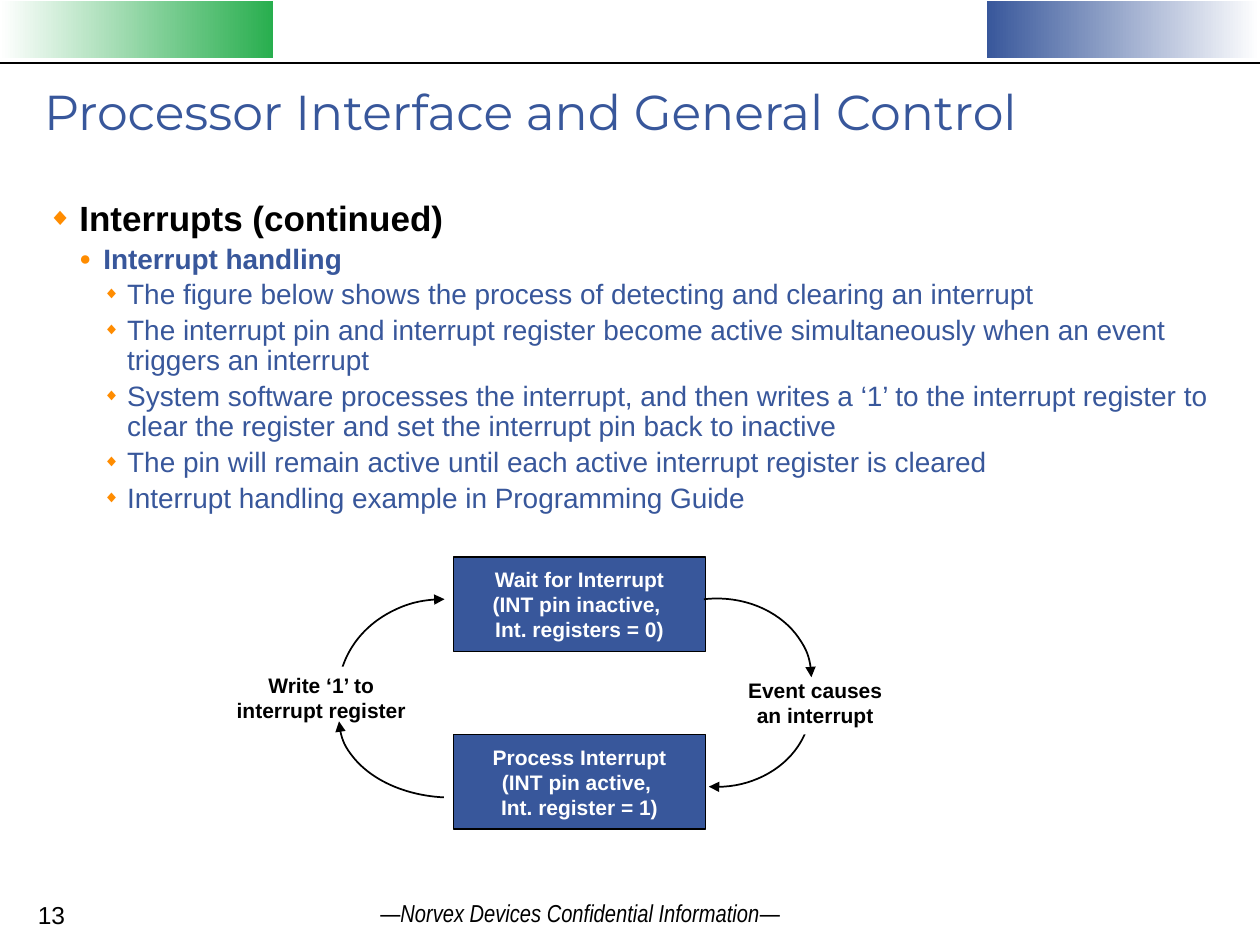
from dataclasses import dataclass
from typing import Any, NamedTuple

from lxml import etree
from pptx import Presentation
from pptx import util as u
from pptx.dml import color
from pptx.enum import shapes, text
from pptx.oxml import ns

EMU_PER_PX = 9144


@dataclass(frozen=True)
class Theme:
    black: str = "000000"
    white: str = "FFFFFF"
    blue: str = "38579B"
    green: str = "28AE4E"
    orange: str = "FF8C00"
    body_font: str = "Arial"
    title_font: str = "Montserrat"
    footer_font: str = "Arial Narrow"
    title_size: int = 28
    heading_size: int = 20
    text_size: int = 16
    footer_size: int = 14
    label_size: int = 12


THEME = Theme()


class Frame(NamedTuple):
    left: int
    top: int
    width: int
    height: int

    def emu(self) -> list[int]:
        return [px(side) for side in self]


@dataclass(frozen=True)
class Style:
    size: int
    colour: str = THEME.black
    font: str = THEME.body_font
    bold: bool = False


@dataclass(frozen=True)
class Level:
    style: Style
    bullet: str
    bullet_percent: int
    margin: int
    hanging: int


@dataclass(frozen=True)
class Band:
    frame: Frame
    start: str
    end: str


@dataclass(frozen=True)
class Block:
    frame: Frame
    lines: tuple[str, ...]
    fill: str
    colour: str
    outlined: bool


@dataclass(frozen=True)
class Arc:
    frame: Frame
    start: float
    end: float
    rotation: int = 0
    flipped: bool = False


def px(length: int) -> u.Emu:
    return u.Emu(length * EMU_PER_PX)


def rgb(value: str) -> color.RGBColor:
    return color.RGBColor.from_string(value)


def assign(target: Any, values: dict[str, Any]) -> None:
    for name, value in values.items():
        setattr(target, name, value)


def add_child(parent: Any, tag: str, **attributes: str) -> Any:
    return etree.SubElement(parent, ns.qn(tag), attributes)


def add_span(para: Any, wording: str, style: Style, italic: bool = False) -> None:
    span = para.add_run()
    span.text = wording
    assign(span.font, {"size": u.Pt(style.size), "name": style.font,
                       "bold": style.bold, "italic": italic})
    span.font.color.rgb = rgb(style.colour)


def next_para(frame: Any, index: int) -> Any:
    return frame.add_paragraph() if index else frame.paragraphs[0]


def add_text_box(page: Any, frame: Frame, insets: tuple[int, int, int, int],
                 anchor: Any = text.MSO_ANCHOR.TOP) -> Any:
    body = page.shapes.add_textbox(*frame.emu()).text_frame
    sides = ("margin_left", "margin_top", "margin_right", "margin_bottom")
    assign(body, {"word_wrap": True, "vertical_anchor": anchor,
                  **dict(zip(sides, map(px, insets)))})
    return body


def add_shape(page: Any, kind: Any, frame: Frame, outlined: bool) -> Any:
    shape = page.shapes.add_shape(kind, *frame.emu())
    shape.shadow.inherit = False
    if outlined:
        shape.line.color.rgb = rgb(THEME.black)
        shape.line.width = u.Pt(1)
    else:
        shape.line.fill.background()
    return shape


def draw_band(page: Any, band: Band) -> None:
    fill = add_shape(page, shapes.MSO_SHAPE.RECTANGLE, band.frame, False).fill
    fill.gradient()
    fill.gradient_angle = 0
    for stop, colour in zip(fill.gradient_stops, (band.start, band.end)):
        stop.color.rgb = rgb(colour)


def draw_rule(page: Any, y: int, width: int) -> None:
    rule = page.shapes.add_connector(shapes.MSO_CONNECTOR.STRAIGHT, 0, px(y), px(width), px(y))
    rule.line.color.rgb = rgb(THEME.black)
    rule.line.width = u.Pt(0.75)
    add_child(rule._element.spPr, "a:effectLst")


def draw_bullet(para: Any, level: Level) -> None:
    para.line_spacing = 0.9
    props = para._p.get_or_add_pPr()
    props.set("marL", str(px(level.margin)))
    props.set("indent", str(px(-level.hanging)))
    add_child(add_child(props, "a:spcBef"), "a:spcPct", val="20000")
    add_child(add_child(props, "a:buClr"), "a:srgbClr", val=THEME.orange)
    add_child(props, "a:buSzPct", val=str(level.bullet_percent * 1000))
    add_child(props, "a:buFont", typeface=THEME.body_font)
    add_child(props, "a:buChar", char=level.bullet)


def draw_block(page: Any, block: Block) -> None:
    shape = add_shape(page, shapes.MSO_SHAPE.RECTANGLE, block.frame, block.outlined)
    shape.fill.solid()
    shape.fill.fore_color.rgb = rgb(block.fill)
    anchor = text.MSO_ANCHOR.MIDDLE if block.outlined else text.MSO_ANCHOR.TOP
    assign(shape.text_frame, {"word_wrap": not block.outlined, "vertical_anchor": anchor})
    for index, line in enumerate(block.lines):
        para = next_para(shape.text_frame, index)
        para.alignment = text.PP_ALIGN.CENTER
        add_span(para, line, Style(THEME.label_size, block.colour, bold=True))


def draw_arc(page: Any, arc: Arc) -> None:
    shape = add_shape(page, shapes.MSO_SHAPE.ARC, arc.frame, True)
    shape.fill.background()
    shape.rotation = arc.rotation
    shape.adjustments[0], shape.adjustments[1] = arc.start, arc.end
    if arc.flipped:
        for axis in ("flipH", "flipV"):
            shape._element.spPr.xfrm.set(axis, "1")
    add_child(shape.line._get_or_add_ln(), "a:tailEnd", type="triangle")


def state(top: int, *lines: str) -> Block:
    return Block(Frame(360, top, 200, 75), lines, THEME.blue, THEME.white, True)


def label(left: int, top: int, *lines: str) -> Block:
    return Block(Frame(left, top, 156, 50), lines, THEME.white, THEME.black, False)


LEVELS = (
    Level(Style(THEME.heading_size, bold=True), "◆", 70, 25, 25),
    Level(Style(THEME.text_size, THEME.blue, bold=True), "●", 70, 44, 19),
    Level(Style(THEME.text_size, THEME.blue), "◆", 60, 63, 19),
)
OUTLINE = (
    (0, "Interrupts (continued)"),
    (1, "Interrupt handling"),
    (2, "The figure below shows the process of detecting and clearing an interrupt"),
    (2, "The interrupt pin and interrupt register become active simultaneously "
        "when an event triggers an interrupt"),
    (2, "System software processes the interrupt, and then writes a ‘1’ to the interrupt "
        "register to clear the register and set the interrupt pin back to inactive"),
    (2, "The pin will remain active until each active interrupt register is cleared"),
    (2, "Interrupt handling example in Programming Guide"),
)
BANDS = (
    Band(Frame(0, 1, 217, 45), THEME.white, THEME.green),
    Band(Frame(783, 1, 217, 45), THEME.blue, THEME.white),
)
CYCLE = (
    Arc(Frame(277, 467, 150, 167), 156.34, 0.39, rotation=270),
    state(442, "Wait for Interrupt", "(INT pin inactive, ", "Int. registers = 0)"),
    state(583, "Process Interrupt", "(INT pin active, ", "Int. register = 1)"),
    Arc(Frame(504, 485, 129, 150), 165.4, 3.14, rotation=270, flipped=True),
    label(569, 533, "Event causes", "an interrupt"),
    Arc(Frame(494, 475, 150, 125), 156.34, 0),
    label(177, 529, "Write ‘1’ to interrupt register"),
    Arc(Frame(269, 508, 179, 125), 165.4, 215.22, flipped=True),
)


def main() -> None:
    deck = Presentation()
    assign(deck, {"slide_width": px(1000), "slide_height": px(750)})
    page = deck.slides.add_slide(deck.slide_layouts[6])
    draw_rule(page, 50, 1000)
    for band in BANDS:
        draw_band(page, band)

    middle = text.MSO_ANCHOR.MIDDLE
    footer = add_text_box(page, Frame(292, 708, 417, 32), (10, 5, 10, 5), middle)
    for wording, italic in (("—", False), ("Norvex Devices Confidential Information", True),
                            ("—", False)):
        add_span(footer.paragraphs[0], wording,
                 Style(THEME.footer_size, font=THEME.footer_font), italic)
    number = add_text_box(page, Frame(30, 710, 69, 32), (0, 5, 10, 5), middle)
    add_span(number.paragraphs[0], "13", Style(THEME.footer_size))

    title = add_text_box(page, Frame(30, 60, 940, 100), (5, 10, 5, 5)).paragraphs[0]
    title.line_spacing = 0.9
    add_span(title, "Processor Interface and General Control",
             Style(THEME.title_size, THEME.blue, THEME.title_font))
    body = add_text_box(page, Frame(33, 150, 940, 250), (5, 10, 5, 10))
    for index, (depth, wording) in enumerate(OUTLINE):
        para = next_para(body, index)
        para.level = depth
        draw_bullet(para, LEVELS[depth])
        add_span(para, wording, LEVELS[depth].style)

    for part in CYCLE:
        if isinstance(part, Arc):
            draw_arc(page, part)
        else:
            draw_block(page, part)
    deck.save("out.pptx")


if __name__ == "__main__":
    main()
